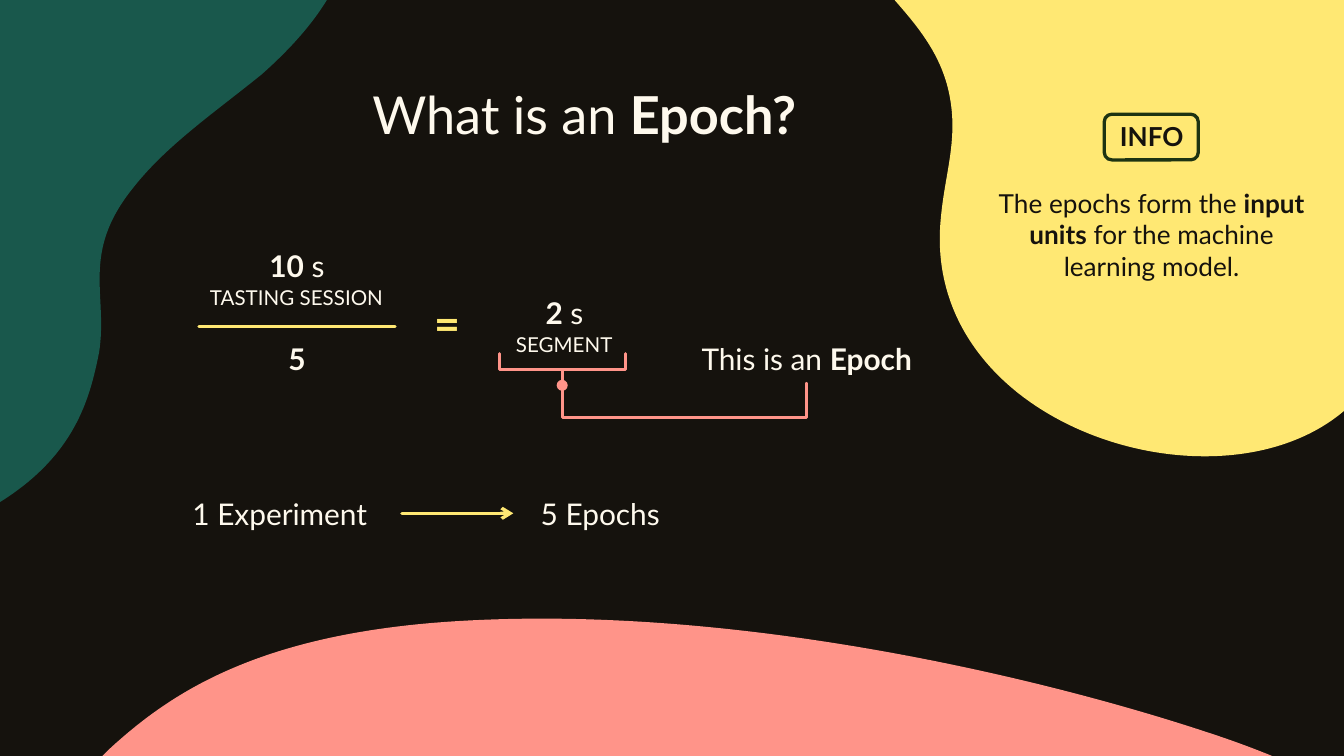
import math

import pptx
import pptx.dml.color
import pptx.enum.shapes
import pptx.enum.text
import pptx.oxml
import pptx.oxml.ns
import pptx.util

Pt = pptx.util.Pt
RGB = pptx.dml.color.RGBColor
SHAPE = pptx.enum.shapes.MSO_SHAPE
CONNECTOR = pptx.enum.shapes.MSO_CONNECTOR
NS = pptx.oxml.ns.nsdecls("a")

BLACK = RGB(0x15, 0x12, 0x0D)
CREAM = RGB(0xFE, 0xF9, 0xED)
YELLOW = RGB(0xFF, 0xE8, 0x73)
CORAL = RGB(0xFF, 0x94, 0x89)
GREEN = RGB(0x19, 0x58, 0x4C)
DARK_GREEN = RGB(0x1D, 0x33, 0x12)
FONT = "Lato"

# Blob outlines: a start point, then lines (one point) and curves (three points)
GREEN_BLOB = [
    [(182, -55)],
    [(158, -107), (37, -120), (-66, -56)],
    [(-138, 2)],
    [(-199, 63), (-317, 73), (-344, 146)],
    [(-352, 168), (-350, 191), (-340, 212)],
    [(-317, 262), (-251, 302), (-184, 306)],
    [(-138, 309), (-58, 304), (0, 269)],
    [(40, 244), (48, 214), (53, 189)],
    [(58, 158), (43, 136), (71, 101)],
    [(89, 78), (114, 61), (140, 40)],
    [(183, 2), (194, -31), (182, -55)],
]
YELLOW_BLOB = [
    [(546, 211)],
    [(606, 258), (711, 259), (742, 191)],
    [(752, 129)],
    [(751, 66), (836, 47), (798, -26)],
    [(788, -48), (768, -68), (744, -87)],
    [(685, -132), (601, -166), (546, -163)],
    [(508, -161), (449, -150), (432, -112)],
    [(420, -85), (438, -55), (454, -31)],
    [(474, -1), (503, 17), (509, 53)],
    [(513, 76), (506, 94), (504, 117)],
    [(500, 157), (518, 189), (546, 211)],
]
CORAL_BLOB = [
    [(-431, 625)],
    [(-431, 701), (-199, 786), (67, 768)],
    [(269, 737)],
    [(449, 698), (693, 753), (817, 678)],
    [(855, 656), (871, 627), (871, 596)],
    [(871, 522), (776, 434), (646, 392)],
    [(555, 362), (390, 323), (241, 333)],
    [(137, 340), (91, 372), (60, 400)],
    [(21, 436), (30, 470), (-60, 498)],
    [(-118, 515), (-185, 521), (-255, 533)],
    [(-379, 554), (-431, 590), (-431, 625)],
]


def turn(point, center, degrees):
    angle = math.radians(degrees)
    dx, dy = point[0] - center[0], point[1] - center[1]
    return (center[0] + dx * math.cos(angle) - dy * math.sin(angle),
            center[1] + dx * math.sin(angle) + dy * math.cos(angle))


def path_step(tag, points):
    pts = "".join(f'<a:pt x="{Pt(x)}" y="{Pt(y)}"/>' for x, y in points)
    return pptx.oxml.parse_xml(f"<a:{tag} {NS}>{pts}</a:{tag}>")


def add_blob(s, outline, left, top, width, height, rotation, color):
    """Add a curved outline, given as it lies once the box is rotated."""
    center = (left + width / 2, top + height / 2)
    local = []
    for segment in outline:
        turned = [turn(p, center, -rotation) for p in segment]
        local.append([(x - left, y - top) for x, y in turned])

    builder = s.shapes.build_freeform()
    builder.add_line_segments([(Pt(width), 0), (Pt(width), Pt(height))])
    sp = builder.convert_to_shape()
    sp.left, sp.top = Pt(left), Pt(top)
    sp.rotation = rotation

    # Put the curves into the path
    path = sp._element.spPr.find(".//" + pptx.oxml.ns.qn("a:path"))
    for step in list(path):
        path.remove(step)
    path.append(path_step("moveTo", local[0]))
    for segment in local[1:]:
        tag = "lnTo" if len(segment) == 1 else "cubicBezTo"
        path.append(path_step(tag, segment))
    path.append(path_step("close", []))

    sp.shadow.inherit = False
    sp.fill.solid()
    sp.fill.fore_color.rgb = color
    sp.line.fill.background()


def add_text(s, left, top, width, height, size, runs, color=CREAM):
    """Add centred text; runs are (text, bold) pairs."""
    sp = s.shapes.add_textbox(Pt(left), Pt(top), Pt(width), Pt(height))
    tf = sp.text_frame
    tf.word_wrap = True
    tf.auto_size = pptx.enum.text.MSO_AUTO_SIZE.SHAPE_TO_FIT_TEXT
    p = tf.paragraphs[0]
    p.alignment = pptx.enum.text.PP_ALIGN.CENTER
    for text, bold in runs:
        r = p.add_run()
        r.text = text
        r.font.name = FONT
        r.font.size = Pt(size)
        r.font.bold = bold
        r.font.color.rgb = color


def style_line(sp, color, width, *ends):
    """Colour a line with round caps and joins; ends are (tag, type) pairs."""
    sp.line.color.rgb = color
    sp.line.width = Pt(width)
    ln = sp.line._ln
    ln.set("cap", "rnd")
    ln.append(pptx.oxml.parse_xml(f"<a:round {NS}/>"))
    for tag, kind in ends:
        ln.append(pptx.oxml.parse_xml(f'<a:{tag} {NS} type="{kind}"/>'))


def add_outline(s, kind, left, top, width, height, color, weight):
    sp = s.shapes.add_shape(kind, Pt(left), Pt(top), Pt(width), Pt(height))
    sp.shadow.inherit = False
    sp.fill.background()
    style_line(sp, color, weight)
    return sp


def add_line(s, kind, x1, y1, x2, y2, color, weight, *ends):
    sp = s.shapes.add_connector(kind, Pt(x1), Pt(y1), Pt(x2), Pt(y2))
    style_line(sp, color, weight, *ends)
    sp._element.spPr.append(pptx.oxml.parse_xml(f"<a:effectLst {NS}/>"))
    return sp


def add_epoch_link(s):
    """Join the segment bracket to the epoch label with a five-part elbow."""
    sp = add_line(s, CONNECTOR.ELBOW, 367.2, 271.4, 366.06, 140.4,
                  CORAL, 1.5, ("headEnd", "oval"))
    spPr = sp._element.spPr
    spPr.xfrm.set("rot", str(90 * 60000))
    guides = "".join(
        f'<a:gd name="adj{i}" fmla="val {value}"/>'
        for i, value in enumerate((-1514700, 26300, -1503800), 1))
    geometry = pptx.oxml.parse_xml(
        f'<a:prstGeom {NS} prst="bentConnector5">'
        f"<a:avLst>{guides}</a:avLst></a:prstGeom>")
    spPr.replace(spPr.find(pptx.oxml.ns.qn("a:prstGeom")), geometry)


def main():
    prs = pptx.Presentation()
    prs.slide_width, prs.slide_height = Pt(720), Pt(405)
    s = prs.slides.add_slide(prs.slide_layouts[6])
    s.background.fill.solid()
    s.background.fill.fore_color.rgb = BLACK

    # Title
    add_text(s, 178, 40.6, 270, 41, 28, [("What is an ", False), ("Epoch?", True)])

    # Fraction: session length over number of segments
    add_text(s, 112.3, 129.2, 93.6, 26.6, 16, [("10", True), (" s", False)])
    add_text(s, 79.4, 149, 159, 21, 11, [("TASTING SESSION", False)])
    add_text(s, 172, 154.8, 141, 36, 24, [("= ", True)], YELLOW)
    add_text(s, 88.6, 178.9, 141, 26.6, 16, [("5", True)])

    # Background blobs
    add_blob(s, GREEN_BLOB, -233.3, -177.1, 343.4, 586.1, 65, GREEN)
    add_blob(s, YELLOW_BLOB, 371.5, -150.5, 458.6, 356.4, 218, YELLOW)
    add_blob(s, CORAL_BLOB, -11.5, -96.5, 463.7, 1301, 270, CORAL)

    # Fraction bar
    add_line(s, CONNECTOR.STRAIGHT, 106.5, 175, 211.7, 175, YELLOW, 1.5)

    # Segment with bracket, linked to the epoch label
    add_text(s, 255.6, 154.3, 93.6, 26.6, 16, [("2", True), (" s", False)])
    add_text(s, 231.8, 174.2, 141, 21, 11, [("SEGMENT", False)])
    brace = add_outline(s, SHAPE.RIGHT_BRACE, 292.7, 164.2, 17.3, 67.7, CORAL, 1.5)
    brace.adjustments[0] = 0
    brace.adjustments[1] = 0.5
    brace.rotation = 90
    add_epoch_link(s)
    add_text(s, 361.7, 178.9, 141, 26.6, 16,
             [("This is an ", False), ("Epoch", True)])

    # Experiment to epochs
    add_line(s, CONNECTOR.STRAIGHT, 215.3, 275, 275, 275, YELLOW, 1.75,
             ("tailEnd", "arrow"))
    add_text(s, 88.6, 262, 126.7, 26.6, 16, [("1 Experiment ", False)])
    add_text(s, 274.8, 262, 93.6, 26.6, 16, [("5 Epochs", False)])

    # Info note
    add_text(s, 527, 96.9, 180, 58, 14,
             [("The epochs form the ", False), ("input units", True),
              (" for the machine learning model.", False)], BLACK)
    add_outline(s, SHAPE.ROUNDED_RECTANGLE, 591.6, 61.2, 50.4, 24.5,
                DARK_GREEN, 1.75)
    add_text(s, 579.6, 61.2, 74.9, 24.5, 14, [("INFO", True)], BLACK)

    prs.save("out.pptx")


if __name__ == "__main__":
    main()
